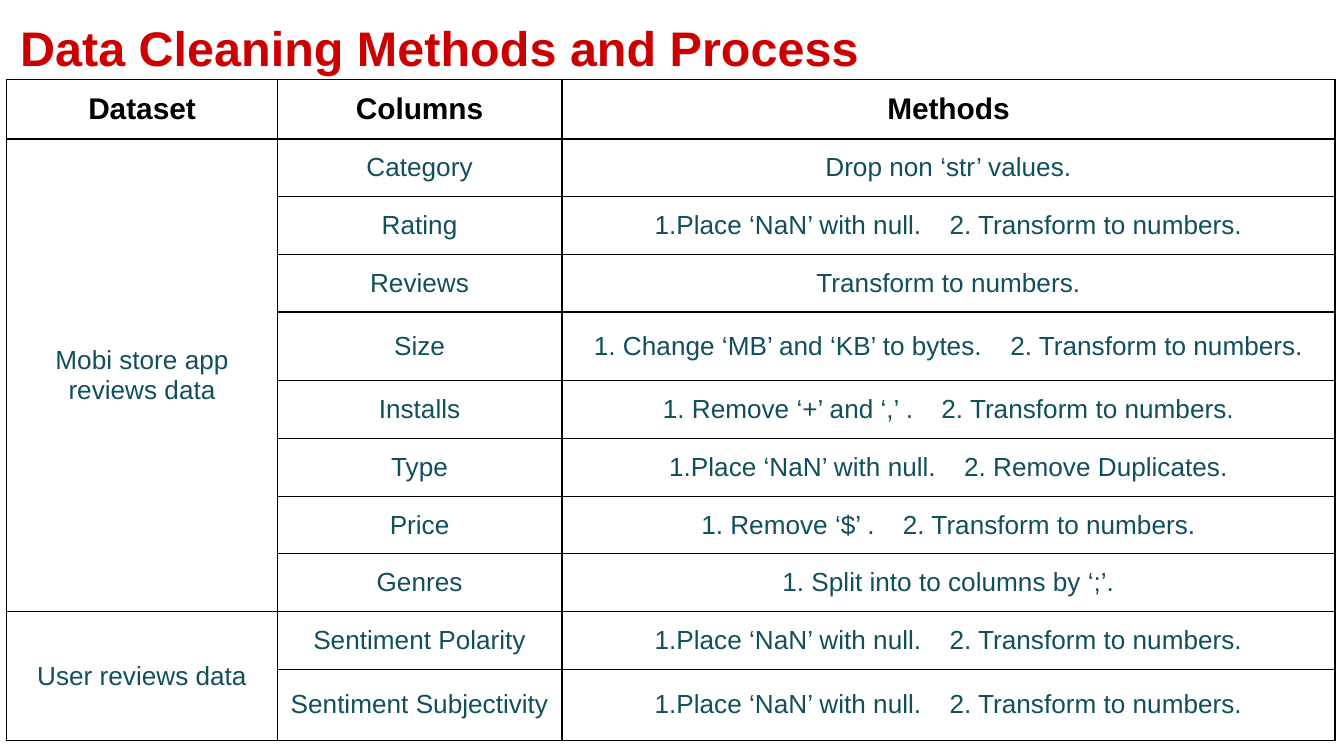
from lxml.etree import SubElement
from pptx import Presentation
from pptx.dml.color import RGBColor
from pptx.enum.text import MSO_ANCHOR as Anchor, MSO_AUTO_SIZE as Fit, PP_ALIGN as Align
from pptx.oxml.ns import qn
from pptx.util import Cm, Pt

RED = RGBColor(0xCC, 0x00, 0x00)
BLACK = RGBColor(0x00, 0x00, 0x00)
TEAL = RGBColor(0x12, 0x4F, 0x5C)
WHITE = RGBColor(0xFF, 0xFF, 0xFF)
FONT = "Arial"
PAD = Cm(0.25)
GAP = 11  # points added to the space between two steps

TITLE = "Data Cleaning Methods and Process"
HEADS = ["Dataset", "Columns", "Methods"]
NULLS = "1.Place ‘NaN’ with null."
NUMS = "2. Transform to numbers."
GROUPS = [
    ("Mobi store app reviews data", [
        ("Category", ["Drop non ‘str’ values."]),
        ("Rating", [NULLS, NUMS]),
        ("Reviews", ["Transform to numbers."]),
        ("Size", ["1. Change ‘MB’ and ‘KB’ to bytes.", NUMS]),
        ("Installs", ["1. Remove ‘+’ and ‘,’ .", NUMS]),
        ("Type", [NULLS, "2. Remove Duplicates."]),
        ("Price", ["1. Remove ‘$’ .", NUMS]),
        ("Genres", ["1. Split into to columns by ‘;’."]),
    ]),
    ("User reviews data", [
        ("Sentiment Polarity", [NULLS, NUMS]),
        ("Sentiment Subjectivity", [NULLS, NUMS]),
    ]),
]
WIDTHS = [5.11, 5.38, 14.61]
ROW = 1.09
TALL = {"Size": 1.3, "Sentiment Subjectivity": 1.35}


def add_run(para, text, size, color, bold=False):
    run = para.add_run()
    run.text = text
    font = run.font
    font.name, font.size, font.bold = FONT, Pt(size), bold
    font.color.rgb = color
    return run


def frame(cell):
    """Draw a thin black line on each side, over a white fill."""
    props = cell._tc.get_or_add_tcPr()
    for side in ("a:lnL", "a:lnR", "a:lnT", "a:lnB"):
        line = SubElement(props, qn(side), w=str(Pt(0.75)))
        fill = SubElement(line, qn("a:solidFill"))
        SubElement(fill, qn("a:srgbClr"), val=str(BLACK))
    cell.fill.solid()
    cell.fill.fore_color.rgb = WHITE


def write(cell, steps, size=14, color=TEAL, bold=False):
    """Centre the steps on one line, with a wide space between them."""
    para = cell.text_frame.paragraphs[0]
    para.alignment = Align.CENTER
    for i, step in enumerate(steps):
        if i:
            gap = add_run(para, " ", size, color)
            gap._r.get_or_add_rPr().set("spc", str(GAP * 100))
        add_run(para, step, size, color, bold)


def add_title(slide):
    title = slide.shapes.title
    title.left, title.top = Cm(0.13), Cm(0)
    title.width, title.height = Cm(24.38), Cm(1.88)
    text = title.text_frame
    text.auto_size, text.word_wrap = Fit.NONE, True
    text.vertical_anchor = Anchor.TOP
    text.margin_left = text.margin_right = text.margin_bottom = PAD
    text.margin_top = Cm(0.34)
    para = text.paragraphs[0]
    para.alignment = Align.LEFT
    add_run(para, TITLE, 26, RED, True)


def add_grid(slide):
    names = [name for _, rows in GROUPS for name, _ in rows]
    highs = [ROW] + [TALL.get(name, ROW) for name in names]
    table = slide.shapes.add_table(
        len(highs), len(WIDTHS), Cm(0.13), Cm(1.5),
        Cm(sum(WIDTHS)), Cm(sum(highs))).table
    table.first_row = table.horz_banding = False
    for col, width in zip(table.columns, WIDTHS):
        col.width = Cm(width)
    for row, high in zip(table.rows, highs):
        row.height = Cm(high)
    for cell in table.iter_cells():
        cell.vertical_anchor = Anchor.MIDDLE
        cell.margin_left = cell.margin_right = PAD
        cell.margin_top = cell.margin_bottom = PAD
        frame(cell)

    for c, head in enumerate(HEADS):
        write(table.cell(0, c), [head], 16, BLACK, True)
    r = 1
    for label, rows in GROUPS:
        first = table.cell(r, 0)
        first.merge(table.cell(r + len(rows) - 1, 0))
        write(first, [label])
        for name, steps in rows:
            write(table.cell(r, 1), [name])
            write(table.cell(r, 2), steps)
            r += 1


def main():
    deck = Presentation()
    deck.slide_width, deck.slide_height = Cm(25.4), Cm(14.29)
    slide = deck.slides.add_slide(deck.slide_layouts[5])
    add_title(slide)
    add_grid(slide)
    deck.save("out.pptx")


if __name__ == "__main__":
    main()
